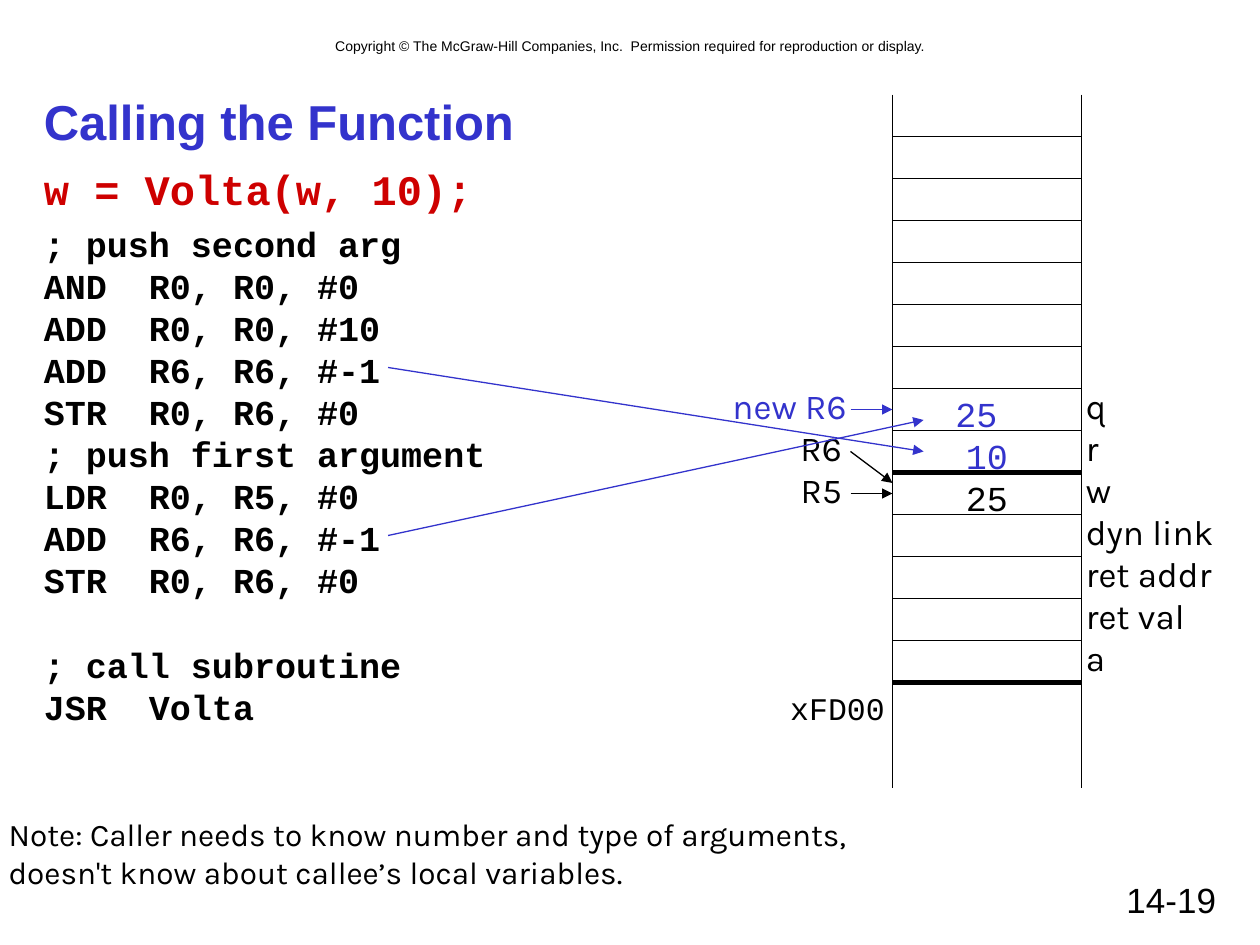
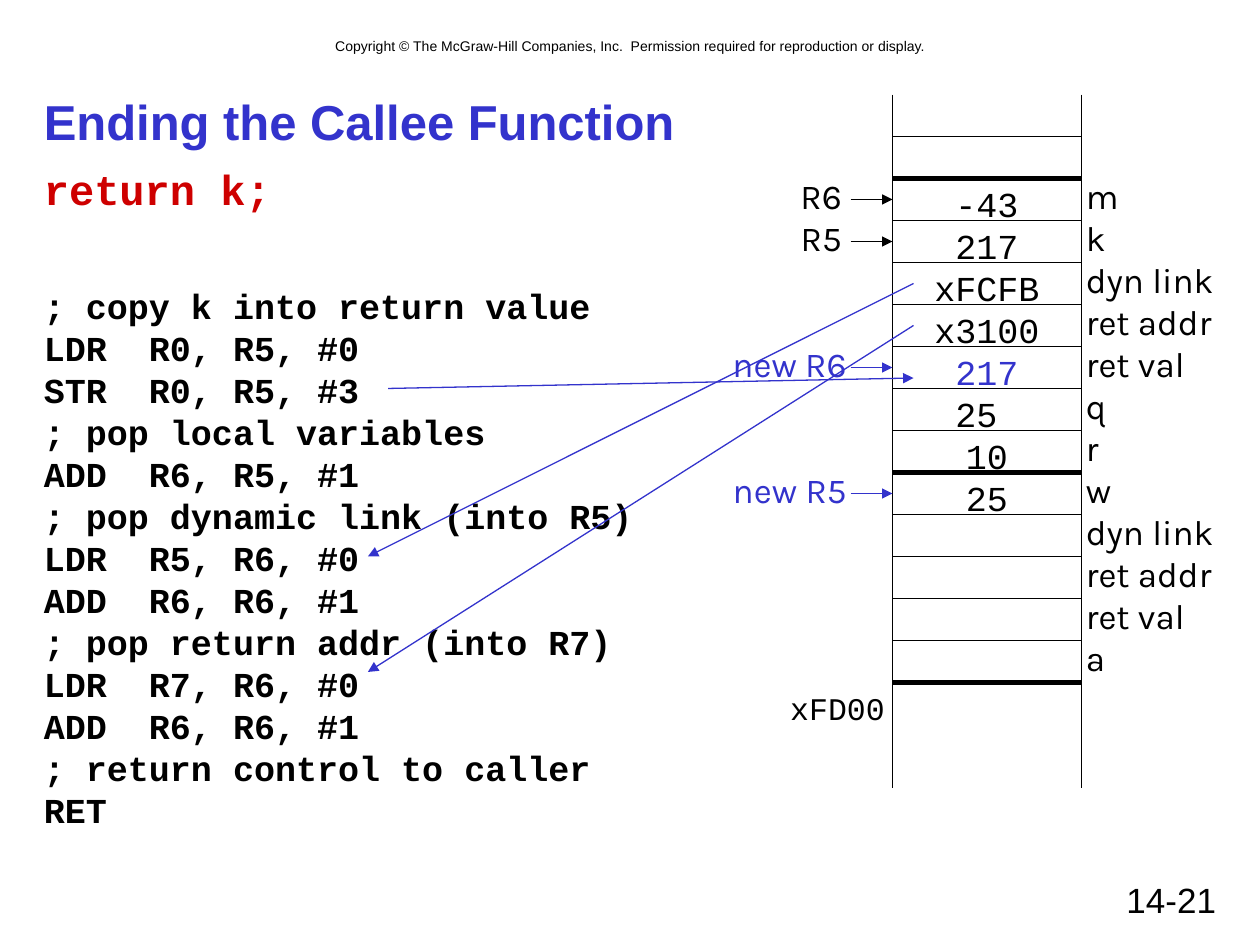
"""Build two slides that trace the run-time stack through a function call and return."""
from lxml import etree
from pptx import Presentation
from pptx.dml.color import RGBColor
from pptx.enum.shapes import MSO_CONNECTOR
from pptx.enum.text import MSO_ANCHOR, PP_ALIGN
from pptx.oxml.ns import qn
from pptx.util import Inches, Pt

STRAIGHT = MSO_CONNECTOR.STRAIGHT
TOP, MIDDLE = MSO_ANCHOR.TOP, MSO_ANCHOR.MIDDLE
LEFT, CENTER, RIGHT = PP_ALIGN.LEFT, PP_ALIGN.CENTER, PP_ALIGN.RIGHT
BLACK = RGBColor(0x00, 0x00, 0x00)
BLUE = RGBColor(0x33, 0x33, 0xCC)
RED = RGBColor(0xCE, 0x00, 0x00)
SANS, MONO, BODY = "Arial", "Courier New", "Karla"

COPYRIGHT = ("Copyright © The McGraw-Hill Companies, Inc.  "
             "Permission required for reproduction or display.")
BASE_ADDRESS = "xFD00"
CALLER_FRAME = ["q", "r", "w", "dyn link", "ret addr", "ret val", "a"]

SLIDES = [
    {
        "number": "14-19",
        "title": "Calling the Function",
        "statement": "w = Volta(w, 10);",
        "code": [
            (5, "; push second arg\nAND  R0, R0, #0\nADD  R0, R0, #10\n"
                "ADD  R6, R6, #-1\nSTR  R0, R6, #0\n; push first argument\n"
                "LDR  R0, R5, #0\nADD  R6, R6, #-1\nSTR  R0, R6, #0"),
            (24, "; call subroutine\nJSR  Volta"),
        ],
        "first_row": 7,
        "labels": CALLER_FRAME,
        "values": [("25 ", BLUE), ("10", BLUE), ("25", BLACK)],
        "heavy_rows": {9, 14},
        "pointers": [("new R6", 7, 7.5, BLUE), ("R6", 8, 9.25, BLACK), ("R5", 9, 9.5, BLACK)],
        "arrows": [(3.08, 6.5, 7.33, 8.5), (3.08, 10.5, 7.33, 7.75)],
        "note": "Note: Caller needs to know number and type of arguments,\n"
                "doesn't know about callee’s local variables.",
    },
    {
        "number": "14-21",
        "title": "Ending the Callee Function",
        "statement": "return k;",
        "code": [
            (40, "; copy k into return value\nLDR  R0, R5, #0\nSTR  R0, R5, #3\n"
                 "; pop local variables\nADD  R6, R5, #1\n"
                 "; pop dynamic link (into R5)\nLDR  R5, R6, #0\nADD  R6, R6, #1\n"
                 "; pop return addr (into R7)\nLDR  R7, R6, #0\nADD  R6, R6, #1\n"
                 "; return control to caller\nRET"),
        ],
        "first_row": 2,
        "labels": ["m", "k", "dyn link", "ret addr", "ret val"] + CALLER_FRAME,
        "values": [("-43", BLACK), ("217", BLACK), ("xFCFB", BLACK), ("x3100", BLACK),
                   ("217", BLUE), ("25 ", BLACK), ("10", BLACK), ("25", BLACK)],
        "heavy_rows": {2, 9, 14},
        "pointers": [("R6", 2, 2.5, BLACK), ("R5", 3, 3.5, BLACK),
                     ("new R6", 6, 6.5, BLUE), ("new R5", 9, 9.5, BLUE)],
        "arrows": [(3.08, 7, 7.25, 6.75), (7.25, 4.5, 2.92, 11), (7.25, 5.5, 2.92, 13.75)],
        "note": None,
    },
]

STACK_LEFT, STACK_W = 7 + 1 / 12, 1.5
STACK_RIGHT = STACK_LEFT + STACK_W
STACK_TOP, STACK_BOTTOM = 0.75, 6.25
ROW_H, LAST_ROW = 1 / 3, 14
LABEL_RISE, VALUE_RISE = 0.08, 0.02
LINE_SPACING = 1.2


def row_y(row):
    """Return the height on the slide of a stack row, counted from the top."""
    return STACK_TOP + row * ROW_H


def add_text(s, x, y, w, h, paragraphs, font, align=LEFT, bold=False, anchor=TOP):
    """Add a text box of (text, size, colour, space before) paragraphs."""
    box = s.shapes.add_textbox(Inches(x), Inches(y), Inches(w), Inches(h))
    tf = box.text_frame
    tf.word_wrap = True
    tf.vertical_anchor = anchor
    for i, (text, size, color, before) in enumerate(paragraphs):
        p = tf.paragraphs[0] if i == 0 else tf.add_paragraph()
        p.text = text
        p.alignment = align
        p.space_before = Pt(before)
        if font != SANS:
            p.line_spacing = Pt(size * LINE_SPACING)
        for r in p.runs:
            r.font.name, r.font.size, r.font.bold = font, Pt(size), bold
            r.font.color.rgb = color


def add_line(s, x1, y1, x2, y2, color=BLACK, width=0.75, arrow=False):
    """Add a straight line, with an arrowhead at its end if asked."""
    line = s.shapes.add_connector(STRAIGHT, Inches(x1), Inches(y1), Inches(x2), Inches(y2))
    line.line.color.rgb = color
    line.line.width = Pt(width)
    sp_pr = line._element.spPr
    if arrow:
        etree.SubElement(sp_pr.find(qn("a:ln")), qn("a:tailEnd"), type="triangle")
    etree.SubElement(sp_pr, qn("a:effectLst"))


def add_frame(s, slide):
    """Add the copyright line, number, title and code."""
    add_text(s, 0.67, 0.25, 8.67, 0.24, [(COPYRIGHT, 8, BLACK, 0)], SANS, CENTER)
    add_text(s, 7.17, 6.92, 2.58, 0.42, [(slide["number"], 20, BLACK, 0)], SANS, RIGHT)
    add_text(s, 0.25, 0.67, 9.5, 0.58, [(slide["title"], 28, BLUE, 0)], SANS,
             bold=True, anchor=MIDDLE)
    code = [(slide["statement"], 24, RED, 0)]
    code += [(block, 20, BLACK, before) for before, block in slide["code"]]
    add_text(s, 0.25, 1.25, 6, 5.42, code, MONO, bold=True)


def add_stack(s, slide):
    """Add the stack grid with its labels, values and base address."""
    for x in (STACK_LEFT, STACK_RIGHT):
        add_line(s, x, STACK_TOP, x, STACK_BOTTOM)
    for row in range(1, LAST_ROW + 1):
        width = 3 if row in slide["heavy_rows"] else 0.75
        add_line(s, STACK_LEFT, row_y(row), STACK_RIGHT, row_y(row), width=width)
    top = row_y(slide["first_row"])
    labels = [(label, 20, BLACK, 0) for label in slide["labels"]]
    add_text(s, 8.52, top - LABEL_RISE, 1.4, len(labels) * ROW_H + 0.1, labels, BODY)
    values = [(value, 20, color, 0) for value, color in slide["values"]]
    add_text(s, STACK_LEFT, top - VALUE_RISE, STACK_W,
             len(values) * ROW_H + 0.1, values, MONO, CENTER)
    add_text(s, 5.92, row_y(LAST_ROW), 1.2, 0.4, [(BASE_ADDRESS, 18, BLACK, 0)], MONO, RIGHT)


def add_pointers(s, slide):
    """Add the register pointers and the arrows between code and stack."""
    for name, row, target, color in slide["pointers"]:
        right = 6.82 if color == BLUE else 6.78
        add_text(s, right - 1.4, row_y(row) - LABEL_RISE, 1.4, 0.44,
                 [(name, 20, color, 0)], BODY, RIGHT)
        add_line(s, 6.75, row_y(row + 0.5), STACK_LEFT, row_y(target), color, arrow=True)
    for x1, row1, x2, row2 in slide["arrows"]:
        add_line(s, x1, row_y(row1), x2, row_y(row2), BLUE, arrow=True)


def main():
    """Build and save the presentation."""
    prs = Presentation()
    prs.slide_width, prs.slide_height = Inches(10), Inches(7.5)
    for slide in SLIDES:
        s = prs.slides.add_slide(prs.slide_layouts[6])
        add_frame(s, slide)
        add_stack(s, slide)
        add_pointers(s, slide)
        if slide["note"]:
            add_text(s, -0.03, 6.42, 7.4, 0.7, [(slide["note"], 18, BLACK, 0)], BODY)
    prs.save("out.pptx")


if __name__ == "__main__":
    main()
